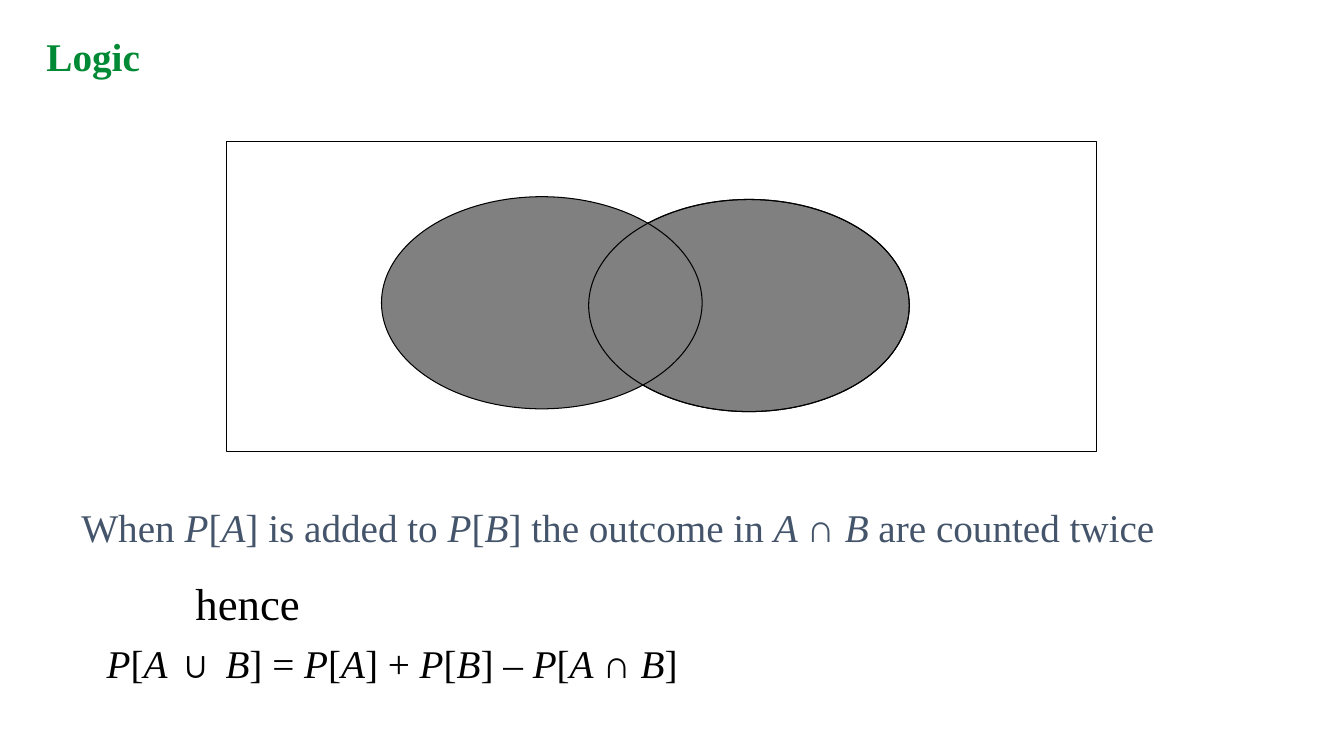
import pptx
import pptx.dml.color
import pptx.enum.shapes
import pptx.enum.text
import pptx.util
from lxml import etree

Pt = pptx.util.Pt
Anchor = pptx.enum.text.MSO_ANCHOR
Shape = pptx.enum.shapes.MSO_SHAPE


def color(value):
    """Turn a hex string into a colour."""
    return pptx.dml.color.RGBColor.from_string(value)


def place(shape, box):
    """Move a shape to a box of left, top, width and height in points."""
    shape.left, shape.top, shape.width, shape.height = (Pt(length) for length in box)


def write(shape, box, text, ink, size=28, bold=None, anchor=Anchor.TOP, spacing=None):
    """Fill a text shape, with asterisks switching italics on and off."""
    place(shape, box)
    frame = shape.text_frame
    frame.word_wrap = True
    frame.auto_size = pptx.enum.text.MSO_AUTO_SIZE.NONE
    frame.vertical_anchor = anchor
    para = frame.paragraphs[0]
    para.alignment = pptx.enum.text.PP_ALIGN.LEFT
    para.space_before = Pt(0)
    para.line_spacing = spacing
    properties = para._p.get_or_add_pPr()
    properties.set("marL", "0")
    properties.set("indent", "0")
    etree.SubElement(properties, pptx.oxml.ns.qn("a:buNone"))
    para.font.name = "Times New Roman"
    para.font.size = Pt(size)
    para.font.bold = bold
    para.font.color.rgb = color(ink)
    for index, part in enumerate(text.split("*")):
        if part:
            span = para.add_run()
            span.text = part
            span.font.italic = index % 2 == 1


def outline(group, kind, box, fill=None):
    """Add a thin black outline with an optional fill."""
    shape = group.shapes.add_shape(kind, *(Pt(length) for length in box))
    shape.shadow.inherit = False
    shape.line.color.rgb = color("000000")
    shape.line.width = Pt(0.75)
    if fill:
        shape.fill.solid()
        shape.fill.fore_color.rgb = color(fill)
    else:
        shape.fill.background()


def venn_diagram(page, box):
    """Draw two overlapping shaded sets inside a universe."""
    left, top, width, height = box
    group = page.shapes.add_group_shape()
    outline(group, Shape.RECTANGLE, box)
    set_a = (left + 110.5, top + 39.5, 229, 151.5)
    set_b = (left + 258.5, top + 41.5, 229, 151.5)
    for oval, fill in ((set_b, "808080"), (set_a, "808080"), (set_b, None)):
        outline(group, Shape.OVAL, oval, fill)


def explanation(page, box):
    """Write the remark, the link word and the formula below the diagram."""
    left, top, width, height = box
    remark = page.shapes.add_textbox(0, 0, 0, 0)
    write(remark, (left, top, width, 52),
          "When *P*[*A*] is added to *P*[*B*] the outcome in *A *∩* B *are counted twice",
          "44546A", anchor=Anchor.MIDDLE)
    write(page.placeholders[1], (left + 18, top + 106, 690, 52),
          "*P*[*A *∪ *B*] = *P*[*A*] + *P*[*B*] – *P*[*A *∩* B*]", "000000", spacing=0.9)
    hence = page.shapes.add_textbox(0, 0, 0, 0)
    write(hence, (left + 81.5, top + 57, 611, 52), "hence", "000000", size=32)


def logic_slide(deck):
    """Build the slide on the probability of a union."""
    page = deck.slides.add_slide(deck.slide_layouts[1])
    write(page.shapes.title, (26, 16, 762, 52), "Logic", "008A35",
          bold=True, anchor=Anchor.MIDDLE, spacing=0.9)
    venn_diagram(page, (162, 101, 621, 221.5))
    explanation(page, (51, 350.5, 788.5, 158))


def main():
    """Create the deck and save it."""
    deck = pptx.Presentation()
    deck.slide_width, deck.slide_height = Pt(960), Pt(540)
    logic_slide(deck)
    deck.save("out.pptx")


if __name__ == "__main__":
    main()
